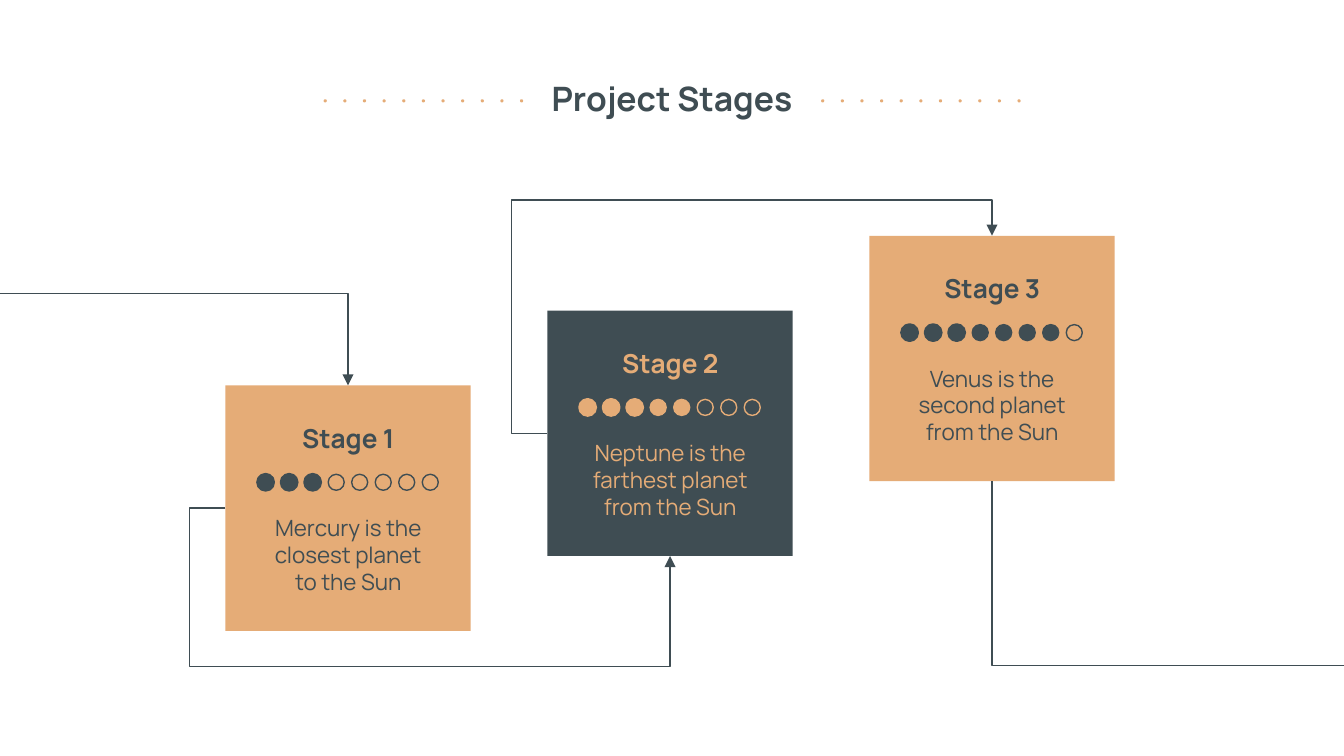
from dataclasses import dataclass

from lxml import etree
from pptx import Presentation
from pptx.dml.color import RGBColor
from pptx.enum.shapes import MSO_CONNECTOR, MSO_SHAPE
from pptx.enum.text import MSO_ANCHOR, MSO_AUTO_SIZE, PP_ALIGN
from pptx.oxml.ns import qn
from pptx.util import Pt

ELBOW = MSO_CONNECTOR.ELBOW
OVAL, RECTANGLE = MSO_SHAPE.OVAL, MSO_SHAPE.RECTANGLE
TOP, MIDDLE = MSO_ANCHOR.TOP, MSO_ANCHOR.MIDDLE
NO_AUTOFIT = MSO_AUTO_SIZE.NONE
CENTER = PP_ALIGN.CENTER
TOP_SITE, LEFT_SITE, BOTTOM_SITE = 0, 1, 2


@dataclass(frozen=True)
class Theme:
    font: str = "Manrope"
    slate: RGBColor = RGBColor(0x3F, 0x4D, 0x53)
    sand: RGBColor = RGBColor(0xE5, 0xAC, 0x77)
    title_size: float = 18
    stage_size: float = 14
    body_size: float = 12
    thin: float = 0.75
    thick: float = 1.5


class StageSlide:
    """Draw the elements of a project stages slide in one theme."""

    def __init__(self, slide, theme):
        self.slide = slide
        self.theme = theme

    def set_text(self, holder, wording, size, color, bold=False, anchor=TOP):
        frame = holder.text_frame
        frame.text = wording
        frame.word_wrap = True
        frame.auto_size = NO_AUTOFIT
        frame.vertical_anchor = anchor
        frame.margin_left = frame.margin_right = Pt(7.2)
        frame.margin_top = frame.margin_bottom = Pt(7.2)
        paragraph = frame.paragraphs[0]
        paragraph.alignment = CENTER
        font = paragraph.runs[0].font
        font.name, font.size, font.bold = self.theme.font, Pt(size), bold
        font.color.rgb = color
        return paragraph

    def title(self, wording, left, top, width, height):
        heading = self.slide.shapes.title
        heading.left, heading.top = Pt(left), Pt(top)
        heading.width, heading.height = Pt(width), Pt(height)
        self.set_text(heading, wording, self.theme.title_size, self.theme.slate, True)

    def text(self, wording, left, top, width, height, size, color, **style):
        box = self.slide.shapes.add_textbox(Pt(left), Pt(top), Pt(width), Pt(height))
        return self.set_text(box, wording, size, color, **style)

    def shape(self, shapes, kind, left, top, size, fill=None, line=None, weight=0):
        shape = shapes.add_shape(kind, Pt(left), Pt(top), Pt(size), Pt(size))
        shape.shadow.inherit = False
        if fill is None:
            shape.fill.background()
        else:
            shape.fill.solid()
            shape.fill.fore_color.rgb = fill
        if line is None:
            shape.line.fill.background()
        else:
            shape.line.color.rgb = line
            shape.line.width = Pt(weight)
        return shape

    def dotted_rule(self, left, top, count=11, pitch=10.52, size=1.7):
        dots = self.slide.shapes.add_group_shape().shapes
        for index in range(count):
            self.shape(dots, OVAL, left + index * pitch, top, size, self.theme.sand)

    def progress(self, left, top, done, color, count=8, pitch=12.6, size=8.6):
        dots = self.slide.shapes.add_group_shape().shapes
        for index in range(count):
            fill = color if index < done else None
            weight = self.theme.thick if index < 3 else self.theme.thin
            self.shape(dots, OVAL, left + index * pitch, top, size, fill, color, weight)

    def card(self, left, top, size, fill):
        return self.shape(self.slide.shapes, RECTANGLE, left, top, size, fill)

    def stage_content(self, left, top, name, summary, done, color):
        theme = self.theme
        self.text(name, left + 11.2, top + 14.4, 109.4, 27.4, theme.stage_size,
                  color, bold=True, anchor=MIDDLE)
        body = self.text(summary, left + 13, top + 61.9, 105.8, 49,
                         theme.body_size, color)
        body.space_after = Pt(16)
        self.progress(left + 17.3, top + 47.6, done, color)

    def elbow(self, start, end, preset, bends=(), source=None, target=None, arrow=True):
        link = self.slide.shapes.add_connector(ELBOW, *map(Pt, start + end))
        if source:
            link.begin_connect(*source)
        if target:
            link.end_connect(*target)
        link.line.color.rgb = self.theme.slate
        link.line.width = Pt(self.theme.thin)
        properties = link._element.spPr
        geometry = properties.find(qn("a:prstGeom"))
        geometry.set("prst", preset)
        guides = geometry.find(qn("a:avLst"))
        for number, bend in enumerate(bends, 1):
            etree.SubElement(guides, qn("a:gd"), name=f"adj{number}",
                             fmla=f"val {round(bend * 100000)}")
        if arrow:
            etree.SubElement(properties.find(qn("a:ln")), qn("a:tailEnd"),
                             type="triangle")
        etree.SubElement(properties, qn("a:effectLst"))


def main():
    deck = Presentation()
    deck.slide_width, deck.slide_height = Pt(720), Pt(405)
    theme = Theme()
    page = StageSlide(deck.slides.add_slide(deck.slide_layouts[5]), theme)

    page.title("Project Stages", 134, 34.6, 452, 45.4)
    for rule_left in (439.9, 173.4):
        page.dotted_rule(rule_left, 53.2)

    stages = [
        ("Stage 1", "Mercury is the closest planet to the Sun", 3, theme.sand, theme.slate),
        ("Stage 2", "Neptune is the farthest planet from the Sun", 5, theme.slate, theme.sand),
        ("Stage 3", "Venus is the second planet from the Sun", 7, theme.sand, theme.slate),
    ]
    side = 131.5
    half = side / 2
    corners = [(120.7 + 172.5 * step, 206.5 - 40.1 * step) for step in range(len(stages))]
    first, second, third = [
        page.card(*corner, side, stage[3]) for corner, stage in zip(corners, stages)
    ]
    (left1, top1), (left2, top2), (left3, top3) = corners

    page.elbow((left1, top1 + half), (left2 + half, top2 + side), "bentConnector4",
               (-0.08, 3.31), (first, LEFT_SITE), (second, BOTTOM_SITE))
    page.elbow((left2, top2 + half), (left3 + half, top3), "bentConnector4",
               (-0.08, 1.18), (second, LEFT_SITE), (third, TOP_SITE))
    page.elbow((740, 356.5), (left3 + half, top3 + side), "bentConnector2",
               target=(third, BOTTOM_SITE), arrow=False)
    page.elbow((-7.2, 157.2), (left1 + half, top1), "bentConnector2",
               target=(first, TOP_SITE))

    for corner, (name, summary, done, _, ink) in zip(corners, stages):
        page.stage_content(*corner, name, summary, done, ink)

    deck.save("out.pptx")


if __name__ == "__main__":
    main()
